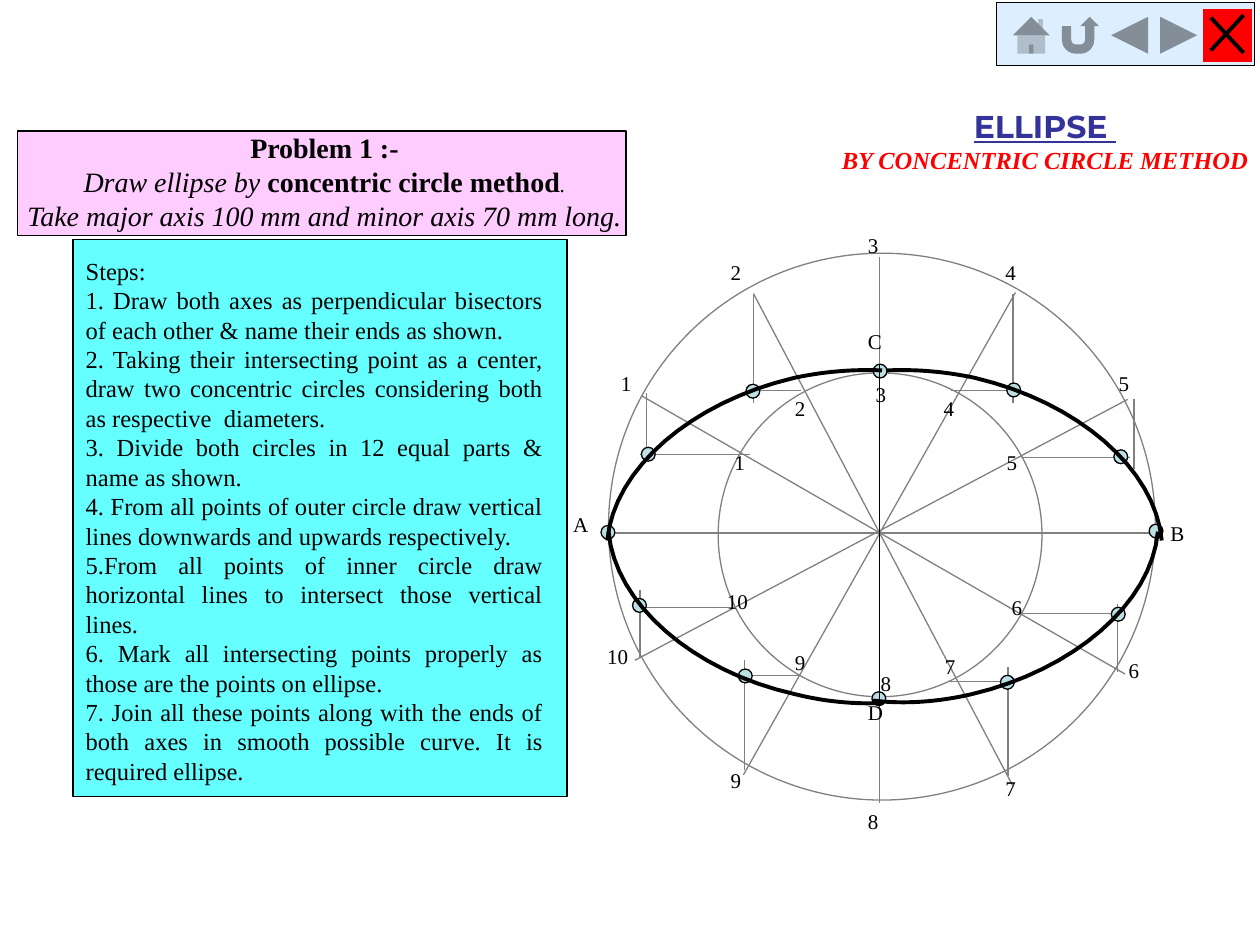
from dataclasses import dataclass, field

from lxml.etree import SubElement
from pptx import Presentation
from pptx.dml.color import RGBColor as Rgb
from pptx.enum.shapes import MSO_CONNECTOR as Link, MSO_SHAPE as Preset
from pptx.enum.text import MSO_ANCHOR as Anchor, MSO_AUTO_SIZE as Fit, PP_ALIGN as Align
from pptx.oxml.ns import qn
from pptx.util import Inches, Pt

COLS, ROWS = 1000, 750
CELL = Inches(10) // COLS
SERIF = "Times New Roman"


@dataclass
class Theme:
    """Colours, line widths and type styles of the slide."""
    ink: str = "000000"
    construction: str = "808080"
    paper: str = "FFFFFF"
    point: str = "BBE0E3"
    steps: str = "66FFFF"
    problem: str = "FFCCFF"
    button: str = "DDEEFF"
    close: str = "FF0000"
    thin: float = 0.75
    thick: float = 2.25
    type: dict = field(default_factory=lambda: {
        "label": {"name": SERIF, "size": Pt(12)},
        "step": {"name": SERIF, "size": Pt(14)},
        "strong": {"name": SERIF, "size": Pt(16), "bold": True},
        "task": {"name": SERIF, "size": Pt(16), "italic": True},
        "stop": {"name": SERIF, "size": Pt(12), "italic": True},
        "title": {"name": "Montserrat", "size": Pt(18), "bold": True, "underline": True, "color": "333399"},
        "method": {"name": SERIF, "size": Pt(14), "bold": True, "italic": True, "color": "FF0000"},
    })


THEME = Theme()

STEPS = [
    "Steps:",
    "1. Draw both axes as perpendicular bisectors of each other & name their ends as shown.",
    "2. Taking their intersecting point as a center, draw two concentric circles considering both as respective  diameters.",
    "3. Divide both circles in 12 equal parts & name as shown.",
    "4. From all points of outer circle draw vertical lines downwards and upwards respectively.",
    "5.From all points of inner circle draw horizontal lines to intersect those vertical lines.",
    "6. Mark all intersecting points properly as those are the points on ellipse.",
    "7. Join all these points along with the ends of both axes in smooth possible curve. It is required ellipse.",
]
DIAMETERS = [
    (0, 222, 435, 222), (215, 3, 215, 436), (26, 113, 410, 334),
    (412, 116, 21, 323), (107, 414, 323, 31), (115, 32, 321, 423),
]
VERTICALS = [
    (30, 111, 165), (115, 32, 119), (321, 32, 119), (417, 116, 171),
    (25, 321, 267), (108, 410, 323), (317, 415, 328), (404, 332, 278),
]
HORIZONTALS = [
    (160, 112, 25), (109, 153, 109), (109, 272, 327), (162, 327, 414),
    (286, 328, 404), (340, 271, 316), (335, 153, 98), (281, 100, 23),
]
POINTS = [
    (26, 154), (109, 104), (316, 103), (210, 88), (401, 156), (429, 215),
    (399, 281), (311, 335), (209, 348), (103, 330), (19, 274), (-6, 216),
]
QUARTERS = [
    [(210, 355), (235, 358), (262, 356), (288, 350), (369, 331), (431, 278), (436, 221)],
    [(218, 357), (195, 358), (172, 356), (148, 350), (67, 332), (5, 278), (0, 221)],
    [(217, 93), (194, 92), (170, 94), (147, 99), (66, 118), (4, 171), (-1, 228)],
    [(221, 93), (244, 92), (268, 94), (291, 99), (372, 118), (434, 171), (439, 228)],
]
OUTER_NAMES = [
    (0, 88), (87, 0), (196, -21), (305, 0), (395, 88),
    (403, 316), (305, 410), (196, 436), (87, 403), (-11, 305),
]
INNER_NAMES = [
    (90, 151), (138, 108), (202, 97), (256, 108), (306, 151),
    (310, 266), (257, 313), (206, 326), (138, 310), (84, 261),
]
AXIS_NAMES = {"B": (436, 207), "A": (-38, 200), "D": (196, 349), "C": (196, 55)}


@dataclass
class Box:
    """A region of the slide grid, in columns and rows."""
    col: int
    row: int
    cols: int
    rows: int

    def inner(self, col, row, cols, rows):
        """Return a box placed relative to this one."""
        return Box(self.col + col, self.row + row, cols, rows)

    def spot(self, col, row):
        """Return the slide position of a grid point in this box."""
        return round((self.col + col) * CELL), round((self.row + row) * CELL)

    def extent(self):
        """Return left, top, width and height as lengths."""
        return (*self.spot(0, 0), self.cols * CELL, self.rows * CELL)


def draw_outline(line, color, width):
    """Set the colour and width of a line."""
    line.color.rgb = Rgb.from_string(color)
    line.width = Pt(width)


def add_preset(slide, preset, box, fill, line=THEME.ink, width=THEME.thin):
    """Add a flat preset shape, without outline if line is None."""
    shape = slide.shapes.add_shape(preset, *box.extent())
    shape.shadow.inherit = False
    shape.fill.solid()
    shape.fill.fore_color.rgb = Rgb.from_string(fill)
    if line:
        draw_outline(shape.line, line, width)
    else:
        shape.line.fill.background()


def add_line(slide, box, ends, color=THEME.construction, width=THEME.thin):
    """Add a flat straight line between two grid points of a box."""
    x1, y1, x2, y2 = ends
    line = slide.shapes.add_connector(Link.STRAIGHT, *box.spot(x1, y1), *box.spot(x2, y2))
    draw_outline(line.line, color, width)
    SubElement(line.element.spPr, qn("a:effectLst"))


def write(frame, paragraphs, align, wrap=True):
    """Fill a text frame with paragraphs of (text, style) runs."""
    for key, value in {"auto_size": Fit.SHAPE_TO_FIT_TEXT, "word_wrap": wrap, "vertical_anchor": Anchor.TOP}.items():
        setattr(frame, key, value)
    for index, runs in enumerate(paragraphs):
        paragraph = frame.add_paragraph() if index else frame.paragraphs[0]
        for key, value in {"alignment": align, "space_before": Pt(0), "line_spacing": 1.0}.items():
            setattr(paragraph, key, value)
        for text, style in runs:
            run = paragraph.add_run()
            run.text = text
            values = {"bold": False, "italic": False, "color": THEME.ink, **THEME.type[style]}
            run.font.color.rgb = Rgb.from_string(values.pop("color"))
            for key, value in values.items():
                setattr(run.font, key, value)


def move_placeholder(slide, placeholder, box):
    """Place a placeholder in a box, in front of what is drawn so far."""
    for key, value in zip(("left", "top", "width", "height"), box.extent()):
        setattr(placeholder, key, value)
    slide.shapes.element.append(placeholder.element)


def add_label(slide, box, text, spot):
    """Add a short name at a grid point of a box."""
    label = slide.shapes.add_textbox(*box.inner(*spot, 20 + 9 * len(text), 30).extent())
    write(label.text_frame, [[(text, "label")]], Align.LEFT, wrap=False)


def curve_points(controls, pieces=16):
    """Sample a chain of cubic Bézier curves."""
    points = [controls[0]]
    for start in range(0, len(controls) - 1, 3):
        for step in range(1, pieces + 1):
            t = step / pieces
            weights = ((1 - t) ** 3, 3 * t * (1 - t) ** 2, 3 * t ** 2 * (1 - t), t ** 3)
            corners = controls[start:start + 4]
            points.append(tuple(sum(w * c[axis] for w, c in zip(weights, corners)) for axis in (0, 1)))
    return points


def add_construction(slide, box):
    """Draw the circles, projections, ellipse and point names."""
    for circle in (box, box.inner(87, 95, 257, 257)):
        add_preset(slide, Preset.OVAL, circle, THEME.paper, THEME.construction)
    verticals = [(x, y1, x, y2) for x, y1, y2 in VERTICALS]
    horizontals = [(x1, y, x2, y) for y, x1, x2 in HORIZONTALS]
    for ends in DIAMETERS + verticals + horizontals:
        add_line(slide, box, ends)
    for spot in POINTS:
        add_preset(slide, Preset.OVAL, box.inner(*spot, 11, 11), THEME.point)
    for quarter in QUARTERS:
        start, *rest = [box.spot(*point) for point in curve_points(quarter)]
        builder = slide.shapes.build_freeform(*start)
        builder.add_line_segments(rest, close=False)
        arc = builder.convert_to_shape()
        arc.shadow.inherit = False
        arc.fill.background()
        draw_outline(arc.line, THEME.ink, THEME.thick)
    add_line(slide, box, (215, 88, 215, 360), THEME.ink)
    for ring in (OUTER_NAMES, INNER_NAMES):
        for number, spot in enumerate(ring, 1):
            add_label(slide, box, str(number), spot)
    for name, spot in AXIS_NAMES.items():
        add_label(slide, box, name, spot)


def add_steps(slide, box):
    """Place the list of steps on its panel."""
    add_preset(slide, Preset.RECTANGLE, box, THEME.steps)
    body = slide.placeholders[1]
    move_placeholder(slide, body, box.inner(0, 8, 383, 452))
    write(body.text_frame, [[(step, "step")] for step in STEPS], Align.JUSTIFY)
    for properties in body.element.iter(qn("a:pPr")):
        for key, value in {"marL": "0", "indent": "0"}.items():
            properties.set(key, value)
        SubElement(properties, qn("a:buNone"))


def add_problem(slide, box):
    """Place the problem statement on its panel."""
    add_preset(slide, Preset.RECTANGLE, box, THEME.problem)
    statement = slide.shapes.add_textbox(*box.inner(-19, -5, 525, 90).extent())
    write(statement.text_frame, [
        [("Problem 1 :-", "strong")],
        [("Draw ellipse by ", "task"), ("concentric circle method", "strong"), (".", "stop")],
        [("Take major axis 100 mm and minor axis 70 mm long.", "task")],
    ], Align.CENTER)


def add_title(slide, box):
    """Place the title and the method under it."""
    move_placeholder(slide, slide.shapes.title, box)
    write(slide.shapes.title.text_frame, [
        [("ELLIPSE ", "title")], [("BY CONCENTRIC CIRCLE METHOD", "method")],
    ], Align.CENTER, wrap=False)


def add_navigation(slide, box):
    """Draw the row of action buttons with the closing cross."""
    add_preset(slide, Preset.ACTION_BUTTON_CUSTOM, box, THEME.button, width=0.5)
    buttons = [Preset.ACTION_BUTTON_HOME, Preset.ACTION_BUTTON_RETURN, Preset.ACTION_BUTTON_BACK_OR_PREVIOUS,
               Preset.ACTION_BUTTON_FORWARD_OR_NEXT, Preset.ACTION_BUTTON_CUSTOM]
    for index, button in enumerate(buttons):
        fill = THEME.close if button == Preset.ACTION_BUTTON_CUSTOM else THEME.button
        add_preset(slide, button, box.inner(8 + 39 * index, 5, 39, 42), fill, None)
    for ends in ((170, 12, 196, 40), (196, 10, 170, 38)):
        add_line(slide, box, ends, THEME.ink, THEME.thick)


def main():
    """Build the slide and save it."""
    deck = Presentation()
    deck.slide_width, deck.slide_height = COLS * CELL, ROWS * CELL
    slide = deck.slides.add_slide(deck.slide_layouts[1])
    add_construction(slide, Box(483, 201, 434, 434))
    add_steps(slide, Box(58, 190, 392, 442))
    add_problem(slide, Box(14, 104, 483, 83))
    add_title(slide, Box(658, 80, 343, 63))
    add_navigation(slide, Box(791, 2, 205, 50))
    deck.save("out.pptx")


if __name__ == "__main__":
    main()
